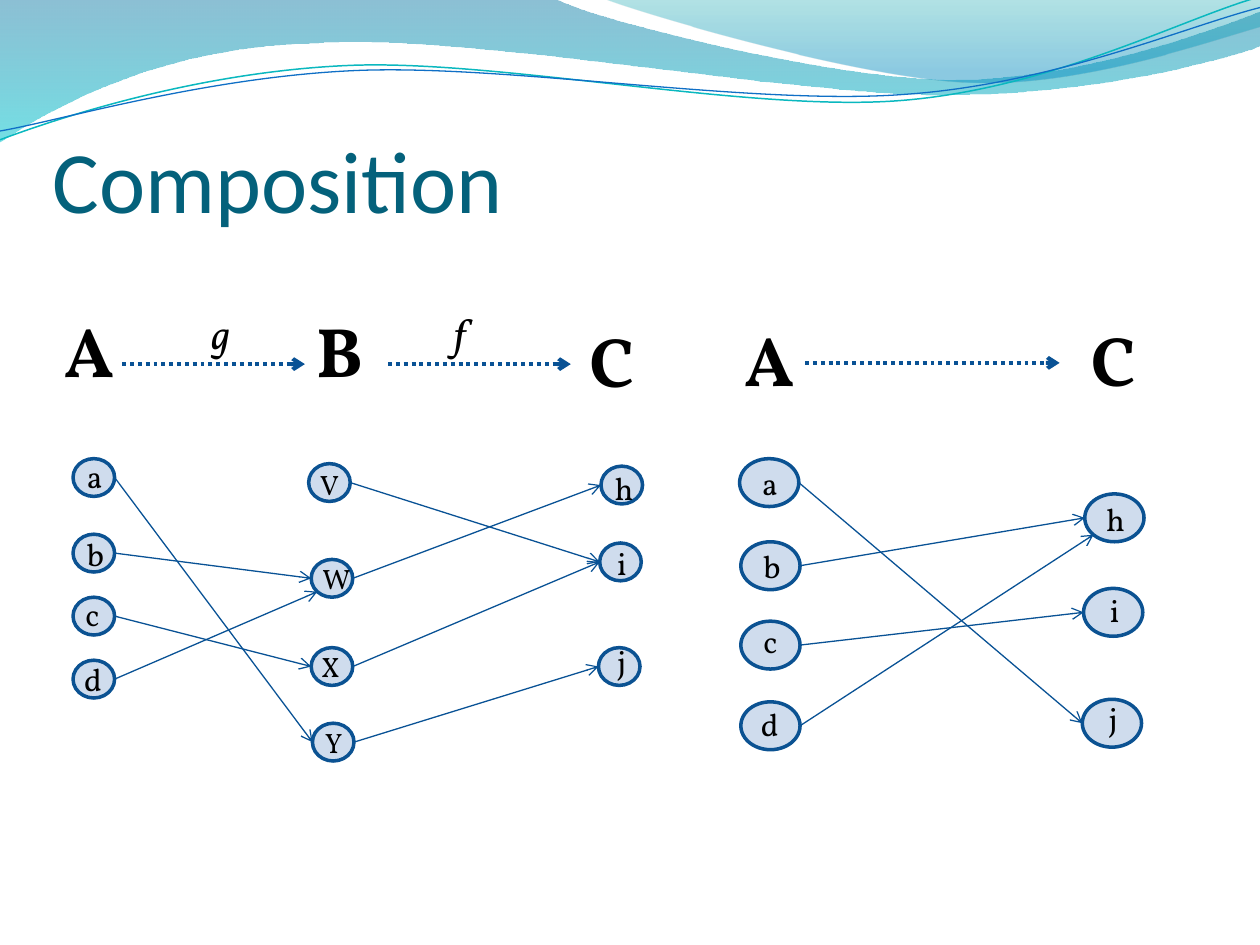
from dataclasses import dataclass
from math import sqrt

from lxml import etree
from pptx import Presentation
from pptx import util as u
from pptx.dml.color import RGBColor
from pptx.enum import dml, shapes, text
from pptx.oxml.ns import qn

ARROW_BLUE = "095295"
NODE_LINE = "0B5292"
NODE_FILL = "4F81BD"
SERIF = "Vollkorn"


@dataclass(frozen=True)
class Node:
    name: str
    x: float
    y: float
    label_x: float
    label_y: float
    size: int = 18


@dataclass(frozen=True)
class Mapping:
    """Ovals of one diagram and the arrows between them."""
    width: float
    height: float
    nodes: tuple
    arrows: tuple
    low_arrows: tuple  # arrows that end at the lower left of their target


@dataclass(frozen=True)
class Caption:
    words: str
    x: float
    y: float
    font: dict


@dataclass(frozen=True)
class Wave:
    """A start point, then lines (one point) and Bezier curves (three points)."""
    start: tuple
    segments: tuple
    stops: tuple = ()  # position, colour, opacity
    line: tuple = ()  # colour, width


SET_NAME = dict(size=u.Pt(40), bold=True)
FUNCTION_NAME = dict(size=u.Pt(24), italic=True)

CAPTIONS = (
    Caption("A", 0.41, 2.39, SET_NAME),
    Caption("B", 2.41, 2.39, SET_NAME),
    Caption("C", 4.58, 2.47, SET_NAME),
    Caption("A", 5.81, 2.46, SET_NAME),
    Caption("C", 8.56, 2.46, SET_NAME),
    Caption("g", 1.58, 2.39, FUNCTION_NAME),
    Caption("f", 3.5, 2.39, FUNCTION_NAME),
)
DOTTED_ARROWS = ((0.97, 2.42, 2.89), (3.08, 4.53, 2.89), (6.39, 8.41, 2.88))

TWO_STEPS = Mapping(0.33, 0.3, (
    Node("a", 0.58, 3.64, 0.59, 3.58),
    Node("b", 0.58, 4.24, 0.59, 4.2),
    Node("c", 0.58, 4.74, 0.58, 4.67),
    Node("d", 0.58, 5.24, 0.57, 5.19),
    Node("V", 2.45, 3.68, 2.44, 3.66, 16),
    Node("W", 2.47, 4.44, 2.46, 4.41, 16),
    Node("X", 2.47, 5.14, 2.45, 5.11, 16),
    Node("Y", 2.48, 5.74, 2.48, 5.71, 16),
    Node("h", 4.77, 3.7, 4.78, 3.67),
    Node("i", 4.76, 4.31, 4.8, 4.27),
    Node("j", 4.75, 5.14, 4.8, 5.05),
), ("aY", "bW", "cX", "Vi", "Wh", "Xi", "Yj"), ("dW",))

COMPOSED = Mapping(0.47, 0.38, (
    Node("a", 5.87, 3.64, 5.95, 3.63),
    Node("b", 5.88, 4.3, 5.96, 4.29),
    Node("c", 5.88, 4.93, 5.96, 4.89),
    Node("d", 5.88, 5.57, 5.94, 5.55),
    Node("h", 8.61, 3.92, 8.68, 3.92),
    Node("i", 8.6, 4.67, 8.71, 4.64),
    Node("j", 8.59, 5.55, 8.7, 5.5),
), ("aj", "bh", "ci"), ("dh",))

WAVES = (
    Wave((0, 0), (
        ((4.4, -0.01),),
        ((4.76, 0.17), (6.64, 0.63), (7.58, 0.63)),
        ((8.53, 0.63), (9.58, 0.26), (10, 0.09)),
        ((10.01, 0.36),),
        ((9.83, 0.44), (8.7, 0.76), (7.46, 0.75)),
        ((6.22, 0.75), (3.82, 0.28), (2.57, 0.34)),
        ((1.29, 0.36), (0.46, 0.83), (-0.01, 1.13)),
    ), stops=((0, "0074A1", 45), (1, "00C6CF", 55))),
    Wave((4.79, -0.01), (
        ((5.09, 0.11), (6.82, 0.62), (7.69, 0.65)),
        ((8.56, 0.69), (9.61, 0.32), (10, 0.21)),
        ((10, 0),),
    ), stops=((0, "00A1A9", 30), (0.8, "008BBF", 45))),
    Wave((0, 1.11), (
        ((0.48, 0.93), (1.58, 0.57), (2.77, 0.52)),
        ((3.95, 0.47), (5.93, 0.89), (7.13, 0.8)),
        ((8.33, 0.71), (9.38, 0.15), (9.98, -0.02)),
    ), line=("0AB8BF", 0.85)),
    Wave((0, 1.04), (
        ((0.47, 0.96), (1.64, 0.61), (2.83, 0.56)),
        ((4.03, 0.51), (5.97, 0.84), (7.17, 0.75)),
        ((8.36, 0.67), (9.41, 0.21), (10, 0.06)),
    ), line=("0F6FC6", 0.75)),
)


def paint(color_format, color: str) -> None:
    color_format.rgb = RGBColor.from_string(color)


def set_line(line, color: str, width: float) -> None:
    paint(line.color, color)
    line.width = u.Pt(width)


def set_opacity(shape, *percents: int) -> None:
    """Apply one percentage to each fill colour, in order."""
    colors = list(shape.element.spPr.iter(qn("a:srgbClr")))
    for color, percent in zip(colors, percents):
        etree.SubElement(color, qn("a:alpha"), val=str(percent * 1000))


def bend(shape, segments: tuple) -> None:
    """Join the three line steps of each curved segment into one Bezier curve."""
    steps = iter(list(shape.element.spPr.iter(qn("a:lnTo"))))
    for segment in segments:
        parts = [next(steps) for _ in segment]
        if len(parts) == 3:
            curve = etree.Element(qn("a:cubicBezTo"))
            parts[0].addprevious(curve)
            for part in parts:
                curve.append(part[0])
                part.getparent().remove(part)


def draw_wave(page, wave: Wave) -> None:
    points = [wave.start, *(point for segment in wave.segments for point in segment)]
    corners = [(u.Inches(x), u.Inches(y)) for x, y in points]
    builder = page.shapes.build_freeform(*corners[0])
    builder.add_line_segments(corners[1:], close=bool(wave.stops))
    shape = builder.convert_to_shape()
    bend(shape, wave.segments)
    shape.shadow.inherit = False
    if wave.stops:
        shape.fill.gradient()
        shape.fill.gradient_angle = 270
        for stop, (position, color, _) in zip(shape.fill.gradient_stops, wave.stops):
            stop.position = position
            paint(stop.color, color)
        set_opacity(shape, *(opacity for _, _, opacity in wave.stops))
        shape.line.fill.background()
    else:
        shape.fill.background()
        set_line(shape.line, *wave.line)


def write(frame, words: str, color: str, font: dict) -> None:
    para = frame.paragraphs[0]
    para.alignment = text.PP_ALIGN.LEFT
    span = para.add_run()
    span.text = words
    paint(span.font.color, color)
    for key, value in font.items():
        setattr(span.font, key, value)


def draw_text(page, words: str, x: float, y: float, width: float, height: float, font: dict) -> None:
    box = page.shapes.add_textbox(*map(u.Inches, (x, y, width, height)))
    box.text_frame.word_wrap = True
    box.text_frame.auto_size = text.MSO_AUTO_SIZE.SHAPE_TO_FIT_TEXT
    write(box.text_frame, words, "000000", dict(font, name=SERIF))


def draw_arrow(page, start: tuple, end: tuple, width: float = 0.75, dash=None) -> None:
    arrow = page.shapes.add_connector(shapes.MSO_CONNECTOR.STRAIGHT, *map(u.Inches, (*start, *end)))
    set_line(arrow.line, ARROW_BLUE, width)
    if dash:
        arrow.line.dash_style = dash
    properties = arrow.element.spPr
    etree.SubElement(properties.find(qn("a:ln")), qn("a:tailEnd"), type="arrow")
    etree.SubElement(properties, qn("a:effectLst"))


def draw_mapping(page, mapping: Mapping) -> None:
    width, height = mapping.width, mapping.height
    for node in mapping.nodes:
        oval = page.shapes.add_shape(shapes.MSO_SHAPE.FLOWCHART_CONNECTOR,
                                     *map(u.Inches, (node.x, node.y, width, height)))
        oval.shadow.inherit = False
        oval.fill.solid()
        paint(oval.fill.fore_color, NODE_FILL)
        set_opacity(oval, 27)
        set_line(oval.line, NODE_LINE, 2)
        draw_text(page, node.name, node.label_x, node.label_y, 0.31, 0.4, dict(size=u.Pt(node.size)))
    by_name = {node.name: node for node in mapping.nodes}
    inset = (1 - sqrt(0.5)) / 2
    for arrows, across, down in ((mapping.arrows, 0, 0.5), (mapping.low_arrows, inset, 1 - inset)):
        for source, target in (map(by_name.get, pair) for pair in arrows):
            draw_arrow(page, (source.x + width, source.y + height / 2),
                       (target.x + across * width, target.y + down * height))


def draw_title(page) -> None:
    title = page.shapes.title
    place = dict(left=0.42, top=0.58, width=9, height=1.25)
    for key, value in place.items():
        setattr(title, key, u.Inches(value))
    layout = dict(margin_left=0, margin_right=0, margin_top=u.Inches(0.05), margin_bottom=0,
                  vertical_anchor=text.MSO_ANCHOR.BOTTOM, word_wrap=True)
    for key, value in layout.items():
        setattr(title.text_frame, key, value)
    write(title.text_frame, "Composition", "04617B", dict(name="Calibri", size=u.Pt(50)))


def main() -> None:
    deck = Presentation()
    deck.slide_width, deck.slide_height = u.Inches(10), u.Inches(7.5)
    page = deck.slides.add_slide(deck.slide_layouts[5])
    for wave in WAVES:
        draw_wave(page, wave)
    draw_title(page)
    for caption in CAPTIONS:
        draw_text(page, caption.words, caption.x, caption.y, 0.75, 0.77, caption.font)
    for left, right, y in DOTTED_ARROWS:
        draw_arrow(page, (left, y), (right, y), 2.25, dml.MSO_LINE.ROUND_DOT)
    for mapping in (TWO_STEPS, COMPOSED):
        draw_mapping(page, mapping)
    deck.save("out.pptx")


if __name__ == "__main__":
    main()
